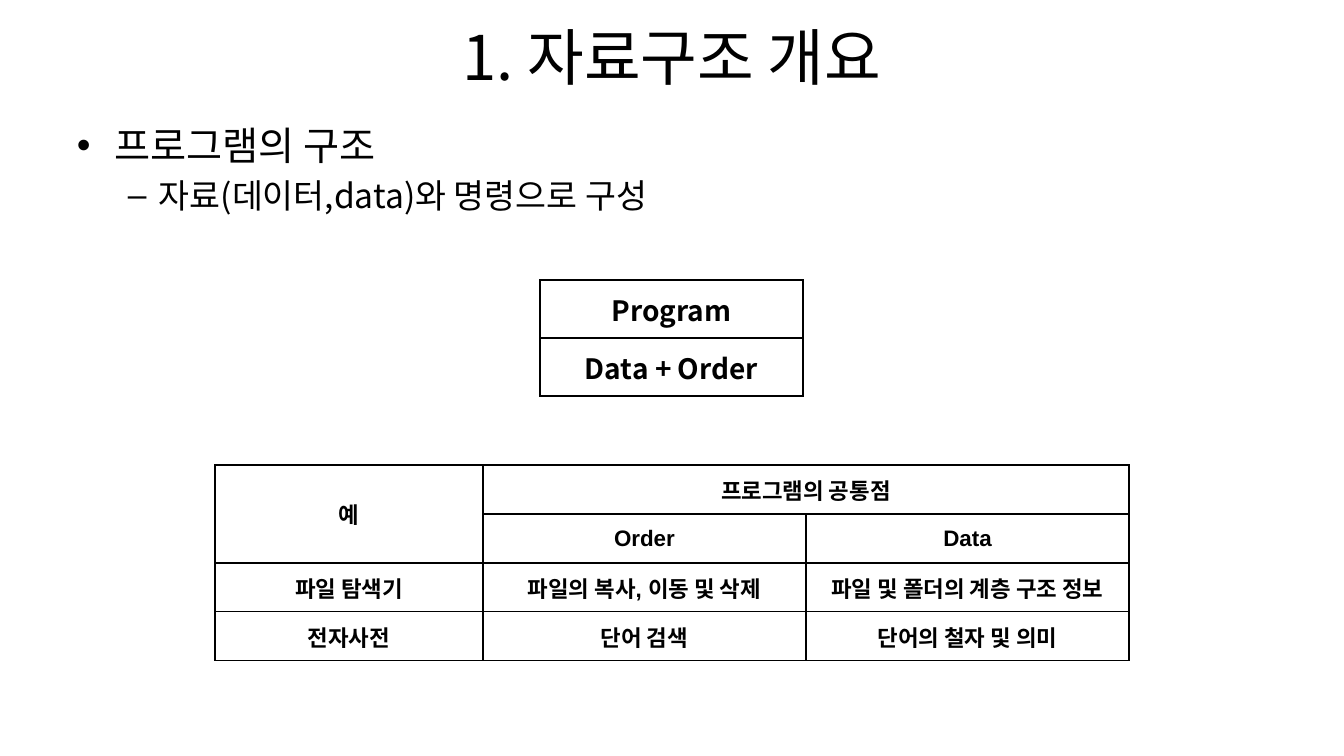
from lxml.etree import SubElement
from pptx import Presentation
from pptx.dml.color import RGBColor
from pptx.enum.text import MSO_ANCHOR, PP_ALIGN
from pptx.oxml import parse_xml
from pptx.oxml.ns import nsdecls, qn
from pptx.util import Emu, Pt

BLACK = RGBColor(0, 0, 0)
WHITE = RGBColor(255, 255, 255)
NOTO = "Noto Sans CJK KR"
SCALE = 914400 / 100.8


def px(size):
    return Emu(round(size * SCALE))


class Page:
    def __init__(self, deck, east=NOTO):
        self.east = east
        self.slide = deck.slides.add_slide(deck.slide_layouts[5])

    def label(self, para, text, size, bold=False, name=NOTO):
        run = para.add_run()
        run.text = text
        run.font.color.rgb = BLACK
        style = {"size": Pt(size), "bold": bold, "name": name}
        for key, value in style.items():
            setattr(run.font, key, value)
        east = SubElement(run._r.get_or_add_rPr(), qn("a:ea"))
        east.set("typeface", self.east)

    def place(self, shape, box):
        for key, value in zip(("left", "top", "width", "height"), box):
            setattr(shape, key, px(value))

    def title(self, box, text, size):
        shape = self.slide.shapes.title
        self.place(shape, box)
        frame = shape.text_frame
        frame.vertical_anchor = MSO_ANCHOR.MIDDLE
        para = frame.paragraphs[0]
        para.alignment = PP_ALIGN.CENTER
        self.label(para, text, size)

    def points(self, box, items):
        frame = self.slide.shapes.add_textbox(*map(px, box)).text_frame
        frame.word_wrap = True
        for i, (text, size, mark, left, hang, level) in enumerate(items):
            para = frame.add_paragraph() if i else frame.paragraphs[0]
            props = para._p.get_or_add_pPr()
            props.set("marL", str(px(left)))
            props.set("indent", str(px(-hang)))
            font = SubElement(props, qn("a:buFont"))
            font.set("typeface", "Arial")
            SubElement(props, qn("a:buChar")).set("char", mark)
            para.level = level
            if i:
                para.space_before = Pt(size * 0.2)
            self.label(para, text, size)

    def border(self, cell):
        props = cell._tc.get_or_add_tcPr()
        for i, side in enumerate("LRTB"):
            props.insert(i, parse_xml(
                f'<a:ln{side} {nsdecls("a")} w="12700"><a:solidFill>'
                f'<a:srgbClr val="{BLACK}"/></a:solidFill></a:ln{side}>'))

    def table(self, left, top, cols, high, rows, size, name=NOTO,
              merges=(), heads=0, inset=None):
        box = (left, top, sum(cols), high * len(rows))
        shape = self.slide.shapes.add_table(
            len(rows), len(cols), *map(px, box))
        table = shape.table
        table.first_row = table.horz_banding = False
        for col, width in zip(table.columns, cols):
            col.width = px(width)
        for start, end in merges:
            table.cell(*start).merge(table.cell(*end))
        for r, row in enumerate(rows):
            table.rows[r].height = px(high)
            for c, text in enumerate(row):
                cell = table.cell(r, c)
                for key, value in (inset or {}).items():
                    setattr(cell, key, px(value))
                cell.vertical_anchor = MSO_ANCHOR.MIDDLE
                if r < heads:
                    cell.fill.solid()
                    cell.fill.fore_color.rgb = WHITE
                else:
                    cell.fill.background()
                self.border(cell)
                if text:
                    para = cell.text_frame.paragraphs[0]
                    para.alignment = PP_ALIGN.CENTER
                    self.label(para, text, size, True, name)


def main():
    deck = Presentation()
    deck.slide_width, deck.slide_height = px(1344), px(756)
    page = Page(deck)
    page.title((67, 13, 1210, 86), "1. 자료구조 개요", 44)
    page.points((67, 116, 1210, 572), [
        ("프로그램의 구조", 28, "•", 38, 38, 0),
        ("자료(데이터,data)와 명령으로 구성", 24, "–", 82, 31, 1),
    ])
    page.table(540, 280, [263], 58, [["Program"], ["Data + Order"]], 20)
    page.table(
        215, 465, [268, 323, 323], 49,
        [
            ["예", "프로그램의 공통점", None],
            [None, "Order", "Data"],
            ["파일 탐색기", "파일의 복사, 이동 및 삭제", "파일 및 폴더의 계층 구조 정보"],
            ["전자사전", "단어 검색", "단어의 철자 및 의미"],
        ],
        16, "Arial", [((0, 0), (1, 0)), ((0, 1), (0, 2))], 2,
        {"margin_left": 7, "margin_right": 7,
         "margin_top": 0, "margin_bottom": 0})
    deck.save("out.pptx")


if __name__ == "__main__":
    main()
